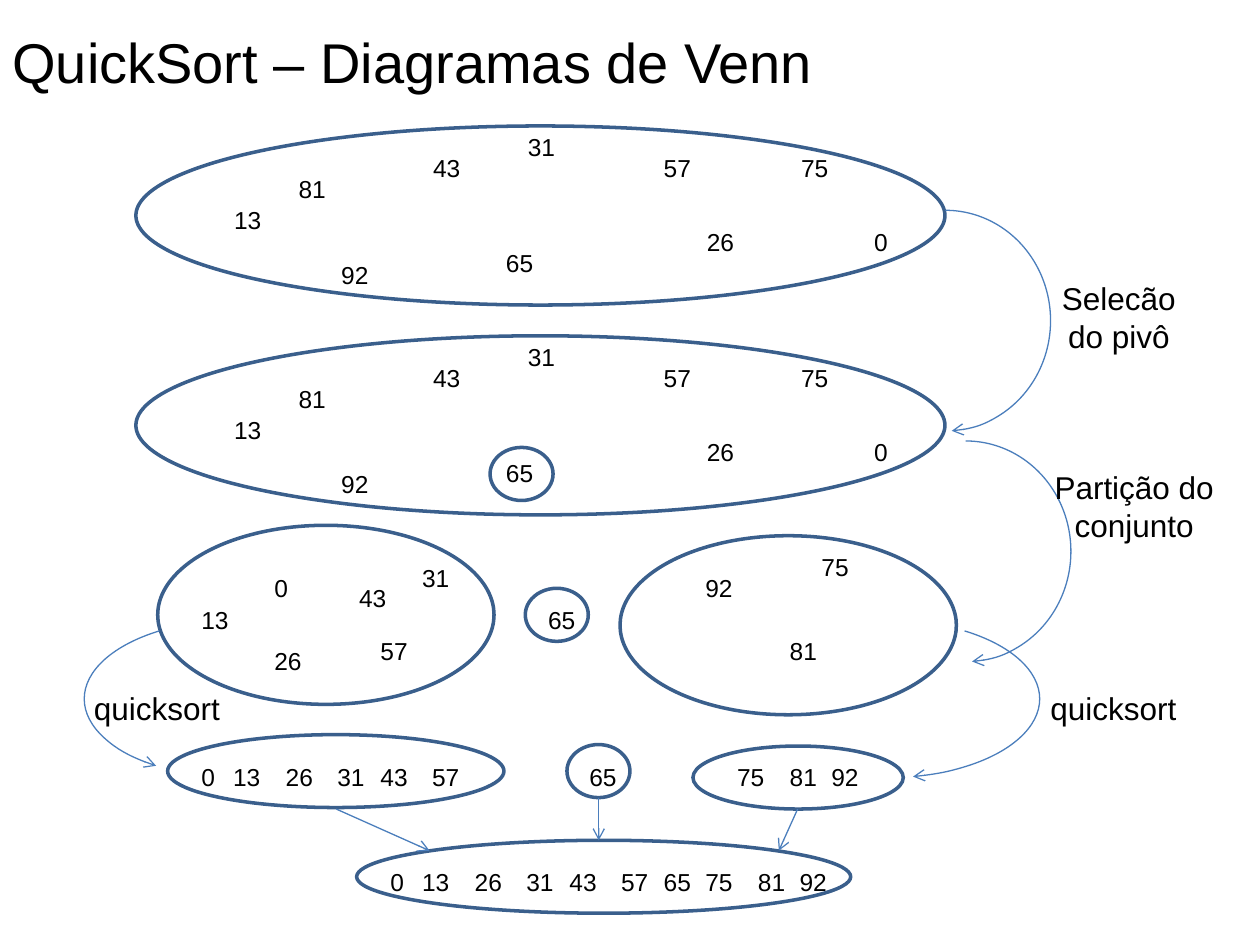
"""Build a slide that explains quicksort with Venn diagrams."""
import pptx
import pptx.dml.color
import pptx.enum.shapes
import pptx.enum.text
import pptx.oxml
import pptx.oxml.ns
import pptx.util

TITLE = ("QuickSort – Diagramas de Venn", (0, 0.43, 16.76, 1.63))

UNSORTED = [
    ("13", 4.47, 4.01), ("81", 5.77, 3.38), ("92", 6.63, 5.11), ("43", 8.48, 2.97),
    ("31", 10.39, 2.54), ("65", 9.95, 4.87), ("57", 13.13, 2.97), ("26", 14, 4.45),
    ("75", 15.9, 2.97), ("0", 17.37, 4.45),
]
PARTITIONED = [
    ("13", 3.81, 12.07), ("81", 15.67, 12.7), ("92", 13.97, 11.43), ("43", 6.99, 11.63),
    ("31", 8.26, 11.23), ("65", 10.8, 12.07), ("57", 7.42, 12.7), ("26", 5.28, 12.9),
    ("75", 16.31, 11), ("0", 5.28, 11.43),
]
LOWER = [("0", 0), ("13", 0.64), ("26", 1.7), ("31", 2.74), ("43", 3.61), ("57", 4.65)]
PIVOT = [("65", 0)]
UPPER = [("75", 0), ("81", 1.06), ("92", 1.9)]

WHOLE_SET = (2.74, 2.54, 16.31, 3.61)
PART_SIZE = (6.78, 3.61)
PIVOT_SIZE = (1.27, 1.07)
TURN_SIZE = (4.24, 4.45)
SORT_SIZE = (6.15, 3.18)
STAGE_STEP = 4.23
TURN = (162, 52.033)


def shifted(numbers, step):
    return [(text, left, top + step) for text, left, top in numbers]


def in_row(numbers, start, top):
    return [(text, start + offset, top) for text, offset in numbers]


STAGES = [
    dict(numbers=UNSORTED, ellipses=[WHOLE_SET]),
    dict(
        numbers=shifted(UNSORTED, STAGE_STEP),
        ellipses=[(2.74, 2.54 + STAGE_STEP, 16.31, 3.61), (9.88, 9.02, *PIVOT_SIZE)],
        arcs=[((16.94, 4.24, *TURN_SIZE), TURN, False)],
        labels=[("Selecão do pivô", (20.75, 5.51, 3.61, 1.8))],
    ),
    dict(
        numbers=PARTITIONED,
        ellipses=[(3.18, 10.59, *PART_SIZE), (10.59, 11.86, *PIVOT_SIZE),
                  (12.5, 10.8, *PART_SIZE)],
        arcs=[((17.35, 8.89, *TURN_SIZE), TURN, False)],
        labels=[("Partição do conjunto", (20.96, 9.32, 3.81, 1.8))],
    ),
    dict(
        numbers=in_row(LOWER, 3.81, 15.24) + in_row(PIVOT, 11.63, 15.24)
        + in_row(UPPER, 14.61, 15.24),
        ellipses=[(3.38, 14.81, 6.78, 1.47), (13.97, 15.04, 4.24, 1.27),
                  (11.43, 15.01, *PIVOT_SIZE)],
        arcs=[((14.81, 12.5, *SORT_SIZE), (191.226, 42.941), False),
              ((1.7, 12.5, *SORT_SIZE), (191.226, 23.801), True)],
        labels=[("quicksort", (20.12, 13.77, 4.65, 1.02)),
                ("quicksort", (0.84, 13.77, 4.65, 1.02))],
    ),
    dict(
        numbers=in_row(LOWER, 7.62, 17.35) + in_row(PIVOT, 13.13, 17.35)
        + in_row(UPPER, 13.97, 17.35),
        ellipses=[(7.19, 16.94, 9.96, 1.47)],
        arrows=[(6.78, 16.31, 8.66, 17.15), (12.07, 16.08, 12.07, 16.94),
                (16.08, 16.31, 15.7, 17.15)],
    ),
]


class Theme:
    font = "Arial"
    text = pptx.dml.color.RGBColor.from_string("000000")
    outline = pptx.dml.color.RGBColor.from_string("3A5F8C")
    arrow = pptx.dml.color.RGBColor.from_string("4B7EBC")
    title_size, label_size, number_size = 32, 18, 14
    outline_width, arrow_width = 2, 0.75


def lengths(values):
    return [pptx.util.Cm(value) for value in values]


def add_text(shapes, text, place, size, wrap=False):
    box = shapes.add_textbox(*lengths(place))
    frame = box.text_frame
    frame.word_wrap = wrap
    frame.auto_size = pptx.enum.text.MSO_AUTO_SIZE.SHAPE_TO_FIT_TEXT
    para = frame.paragraphs[0]
    if wrap:
        para.alignment = pptx.enum.text.PP_ALIGN.CENTER
    span = para.add_run()
    span.text = text
    span.font.name = Theme.font
    span.font.size = pptx.util.Pt(size)
    span.font.color.rgb = Theme.text


def style_line(shape, color, width):
    shape.line.color.rgb = color
    shape.line.width = pptx.util.Pt(width)


def add_outline(shapes, kind, place, color, width):
    shape = shapes.add_shape(kind, *lengths(place))
    shape.shadow.inherit = False
    shape.fill.background()
    style_line(shape, color, width)
    return shape


def add_head(shape):
    head = pptx.oxml.parse_xml(
        f'<a:tailEnd {pptx.oxml.ns.nsdecls("a")} type="arrow"/>')
    shape.line._get_or_add_ln().append(head)


def add_arc(shapes, place, angles, mirrored):
    arc = add_outline(shapes, pptx.enum.shapes.MSO_SHAPE.ARC, place,
                      Theme.arrow, Theme.arrow_width)
    for index, angle in enumerate(angles):
        arc.adjustments[index] = angle
    if mirrored:
        arc.element.spPr.get_or_add_xfrm().set("flipH", "1")
    add_head(arc)


def add_arrow(shapes, ends):
    arrow = shapes.add_connector(pptx.enum.shapes.MSO_CONNECTOR.STRAIGHT, *lengths(ends))
    style_line(arrow, Theme.arrow, Theme.arrow_width)
    add_head(arrow)
    arrow.element.spPr.append(
        pptx.oxml.parse_xml(f'<a:effectLst {pptx.oxml.ns.nsdecls("a")}/>'))


def add_stage(page, numbers, ellipses, arcs=(), labels=(), arrows=()):
    shapes = page.shapes.add_group_shape().shapes
    for text, left, top in numbers:
        width = 1.07 if len(text) == 2 else 0.79
        add_text(shapes, text, (left, top, width, 0.86), Theme.number_size)
    for place in ellipses:
        add_outline(shapes, pptx.enum.shapes.MSO_SHAPE.OVAL, place,
                    Theme.outline, Theme.outline_width)
    for arc in arcs:
        add_arc(shapes, *arc)
    for text, place in labels:
        add_text(shapes, text, place, Theme.label_size, wrap=True)
    for ends in arrows:
        add_arrow(shapes, ends)


deck = pptx.Presentation()
deck.slide_width, deck.slide_height = lengths((25.4, 19.05))
page = deck.slides.add_slide(deck.slide_layouts[6])
add_text(page.shapes, *TITLE, Theme.title_size)
for stage in STAGES:
    add_stage(page, **stage)
deck.save("out.pptx")
